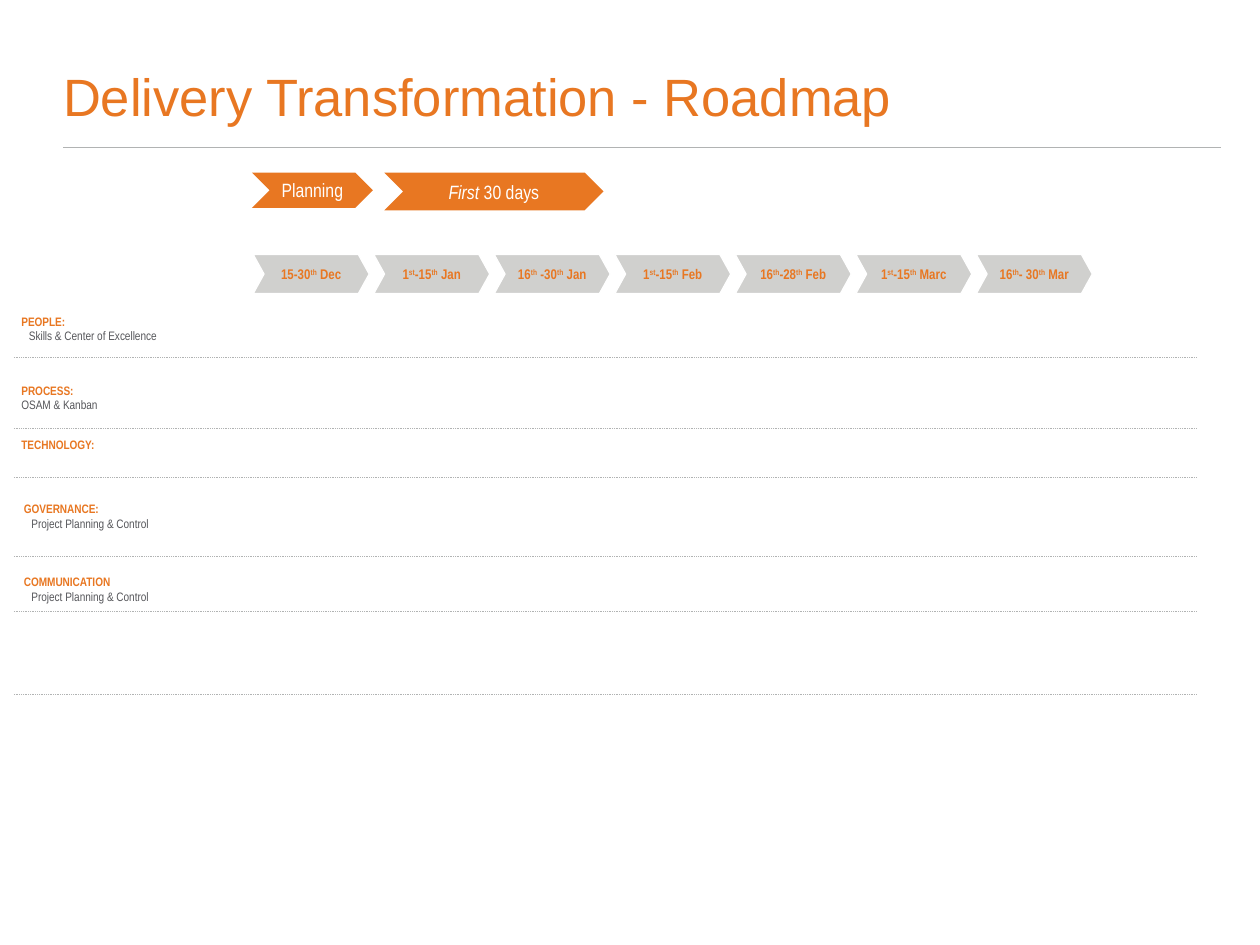
"""Build the Delivery Transformation roadmap slide."""
from lxml.etree import SubElement
from pptx import Presentation
from pptx.dml.color import RGBColor
from pptx.enum.dml import MSO_LINE
from pptx.enum.shapes import MSO_CONNECTOR, MSO_SHAPE
from pptx.enum.text import MSO_ANCHOR, MSO_AUTO_SIZE, PP_ALIGN
from pptx.oxml.ns import qn
from pptx.util import Inches, Pt

COLORS = {
    name: RGBColor.from_string(value)
    for name, value in {
        "orange": "E87722",
        "rule": "B1B3B3",
        "gray": "D0D0CE",
        "text": "55565A",
        "white": "FFFFFF",
    }.items()
}

presentation = Presentation()
presentation.slide_width = Inches(10)
presentation.slide_height = Inches(7.5)
slide = presentation.slides.add_slide(presentation.slide_layouts[5])


def add_rule(left, right, top, width):
    rule = slide.shapes.add_connector(
        MSO_CONNECTOR.STRAIGHT, Inches(left), Inches(top), Inches(right), Inches(top)
    )
    rule.line.color.rgb = COLORS["rule"]
    rule.line.width = Pt(width)
    SubElement(rule._element.spPr, qn("a:effectLst"))
    return rule


def add_chevron(box, adjustment, fill, parts, size, color, margins):
    chevron = slide.shapes.add_shape(MSO_SHAPE.CHEVRON, *map(Inches, box))
    chevron.shadow.inherit = False
    chevron.adjustments[0] = adjustment
    chevron.fill.solid()
    chevron.fill.fore_color.rgb = COLORS[fill]
    chevron.line.fill.background()
    frame = chevron.text_frame
    frame.word_wrap = True
    frame.vertical_anchor = MSO_ANCHOR.MIDDLE
    frame.margin_left = frame.margin_right = Inches(margins[0])
    frame.margin_top = frame.margin_bottom = Inches(margins[1])
    paragraph = frame.paragraphs[0]
    paragraph.alignment = PP_ALIGN.CENTER
    for part in parts:
        run = paragraph.add_run()
        run.text = part
        run.font.name = "Arial Narrow"
        run.font.size = Pt(size)
        run.font.color.rgb = COLORS[color]
    return chevron


title = slide.shapes.title
title.left, title.top, title.width, title.height = map(Inches, (0.5, 0.33, 9.18, 0.68))
frame = title.text_frame
frame.text = "Delivery Transformation - Roadmap"
frame.auto_size = MSO_AUTO_SIZE.NONE
frame.vertical_anchor = MSO_ANCHOR.BOTTOM
frame.margin_left = frame.margin_right = frame.margin_top = frame.margin_bottom = 0
paragraph = frame.paragraphs[0]
paragraph.alignment = PP_ALIGN.LEFT
font = paragraph.runs[0].font
font.name, font.size = "Arial", Pt(30)
font.color.rgb = COLORS["orange"]

add_rule(0.5, 9.69, 1.17, 1)
for top in (2.84, 3.4, 3.79, 4.42, 4.85, 5.51):
    add_rule(0.11, 9.5, top, 0.5).line.dash_style = MSO_LINE.ROUND_DOT

periods = [
    ("15-30", "th", " Dec"),
    ("1", "st", "-15", "th", " Jan"),
    ("16", "th", " -30", "th", " Jan"),
    ("1", "st", "-15", "th", " Feb"),
    ("16", "th", "-28", "th", " Feb"),
    ("1", "st", "-15", "th", " Marc"),
    ("16", "th", "- 30", "th", " Mar"),
]
for index, parts in enumerate(periods):
    box = (2.01 + index * 0.9565, 2.02, 0.92, 0.31)
    period = add_chevron(box, 0.277, "gray", parts, 8, "orange", (0.07, 0.04))
    period.line.color.rgb = COLORS["white"]
    period.line.width = Pt(0.75)
    for position, run in enumerate(period.text_frame.paragraphs[0].runs):
        run.font.bold = True
        if position % 2:
            run.font._element.set("baseline", "30000")

add_chevron((2, 1.37, 0.96, 0.28), 0.5, "orange", ["Planning"], 11, "white", (0.03, 0))
first_phase = add_chevron(
    (3.05, 1.37, 1.74, 0.3), 0.5, "orange", ["First", " 30 days"], 11, "white", (0.03, 0)
)
first_phase.text_frame.paragraphs[0].runs[0].font.italic = True

workstreams = [
    (0.1, 2.45, 0.06, ["PEOPLE:", "Skills & Center of Excellence"]),
    (0.1, 3, 0, ["PROCESS:", "OSAM & Kanban"]),
    (0.1, 3.43, 0, ["TECHNOLOGY:"]),
    (0.12, 3.94, 0.06, ["GOVERNANCE:", "Project Planning & Control"]),
    (0.12, 4.52, 0.06, ["COMMUNICATION", "Project Planning & Control"]),
]
for left, top, indent, lines in workstreams:
    height = 0.07 + 0.12 * len(lines)
    label = slide.shapes.add_textbox(Inches(left), Inches(top), Inches(1.66), Inches(height))
    frame = label.text_frame
    frame.word_wrap = True
    frame.auto_size = MSO_AUTO_SIZE.SHAPE_TO_FIT_TEXT
    frame.margin_left = frame.margin_right = Inches(0.07)
    frame.margin_top = frame.margin_bottom = Inches(0.04)
    frame.text = "\n".join(lines)
    for position, paragraph in enumerate(frame.paragraphs):
        if position and indent:
            paragraph._p.get_or_add_pPr().set("marL", str(Inches(indent)))
        font = paragraph.runs[0].font
        font.name, font.size = "Arial Narrow", Pt(7)
        font.bold = position == 0
        font.color.rgb = COLORS["text" if position else "orange"]

presentation.save("out.pptx")
